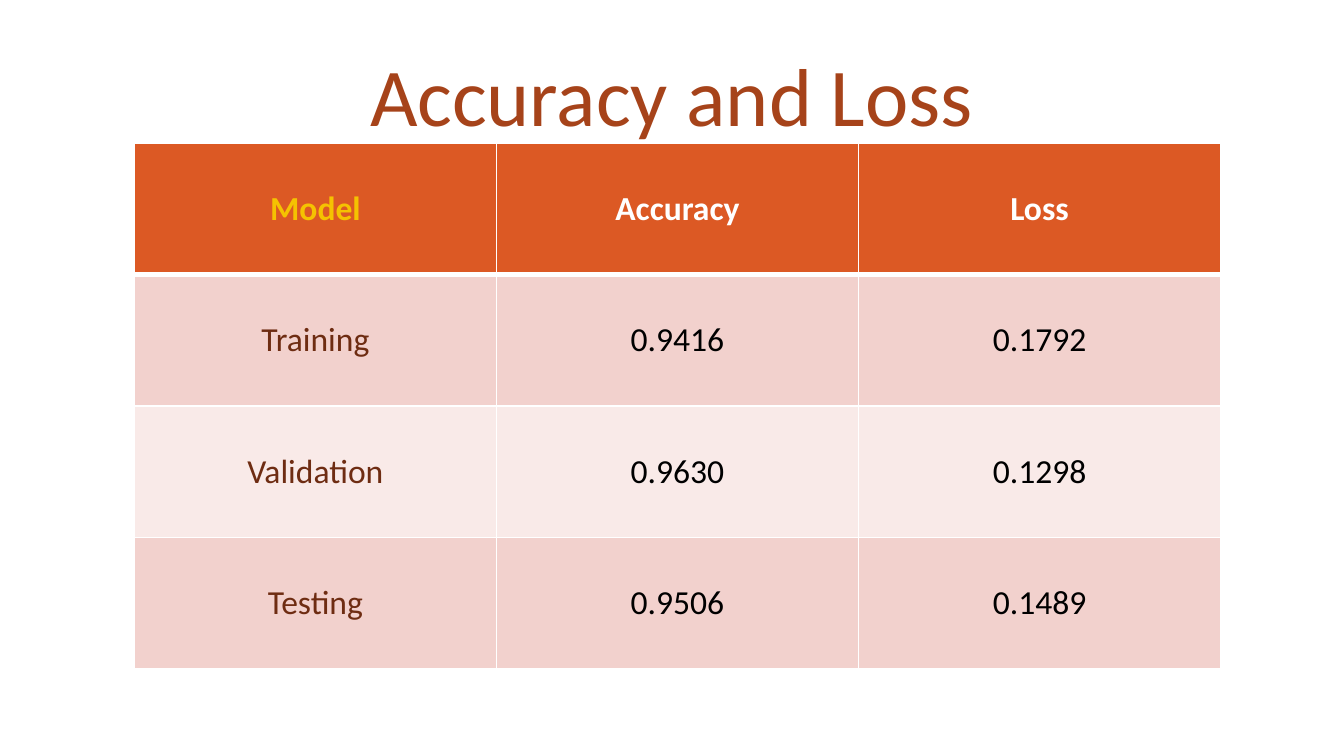
from lxml import etree
from pptx import Presentation
from pptx.dml.color import RGBColor
from pptx.enum import text
from pptx.oxml import ns
from pptx.util import Pt

WHITE = RGBColor(0xFF, 0xFF, 0xFF)
BLACK = RGBColor(0x00, 0x00, 0x00)
RUST = RGBColor(0xA6, 0x43, 0x1A)
BROWN = RGBColor(0x6E, 0x2C, 0x12)
GOLD = RGBColor(0xF5, 0xC2, 0x01)
ORANGE = RGBColor(0xDC, 0x59, 0x24)
ROSE = RGBColor(0xF2, 0xD1, 0xCD)
PALE_ROSE = RGBColor(0xF9, 0xEA, 0xE8)

FONT = "Calibri"
RESULTS = [
    ("Model", "Accuracy", "Loss"),
    ("Training", "0.9416", "0.1792"),
    ("Validation", "0.9630", "0.1298"),
    ("Testing", "0.9506", "0.1489"),
]


def write_centred(frame, wording, size, color, bold=False):
    frame.vertical_anchor = text.MSO_ANCHOR.MIDDLE
    para = frame.paragraphs[0]
    para.text = wording
    para.alignment = text.PP_ALIGN.CENTER
    para.font.name = FONT
    para.font.size = Pt(size)
    para.font.bold = bold
    para.font.color.rgb = color


def add_borders(cell, top=1, bottom=1):
    """Draw white cell borders; call before filling, as the schema puts lines first."""
    properties = cell._tc.get_or_add_tcPr()
    for side, width in (("L", 1), ("R", 1), ("T", top), ("B", bottom)):
        line = etree.SubElement(properties, ns.qn(f"a:ln{side}"), w=str(Pt(width)))
        fill = etree.SubElement(line, ns.qn("a:solidFill"))
        etree.SubElement(fill, ns.qn("a:srgbClr"), val=str(WHITE))


def add_title(page, left, top, width, height):
    box = page.shapes.add_textbox(Pt(left), Pt(top), Pt(width), Pt(height))
    box.text_frame.word_wrap = True
    write_centred(box.text_frame, "Accuracy and Loss", 44, RUST)


def add_results_table(page, left, top, width, height):
    row_count, column_count = len(RESULTS), len(RESULTS[0])
    table = page.shapes.add_table(
        row_count, column_count, Pt(left), Pt(top), Pt(width), Pt(height)
    ).table
    for column in table.columns:
        column.width = Pt(width / column_count)
    for row in table.rows:
        row.height = Pt(height / row_count)

    for row_index, values in enumerate(RESULTS):
        header = row_index == 0
        if header:
            background, label_color, value_color = ORANGE, GOLD, WHITE
        else:
            background = ROSE if row_index % 2 else PALE_ROSE
            label_color, value_color = BROWN, BLACK
        for column_index, value in enumerate(values):
            cell = table.cell(row_index, column_index)
            add_borders(cell, top=3 if row_index == 1 else 1, bottom=3 if header else 1)
            cell.fill.solid()
            cell.fill.fore_color.rgb = background
            color = value_color if column_index else label_color
            write_centred(cell.text_frame, value, 18, color, bold=header)
            cell.vertical_anchor = text.MSO_ANCHOR.MIDDLE


def main():
    deck = Presentation()
    deck.slide_width, deck.slide_height = Pt(720), Pt(405)
    page = deck.slides.add_slide(deck.slide_layouts[6])
    add_title(page, 36, 16.5, 648, 67.5)
    add_results_table(page, 72, 76.5, 582, 282)
    deck.save("out.pptx")


if __name__ == "__main__":
    main()
